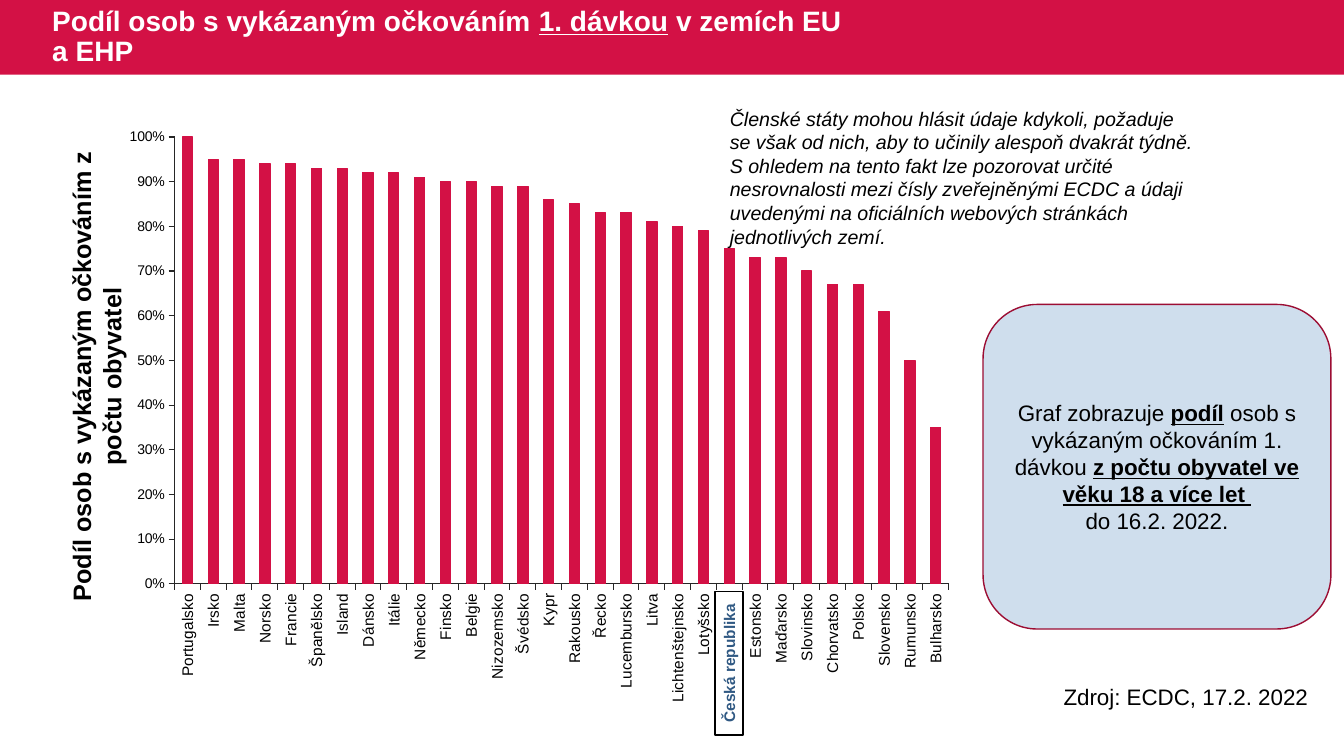
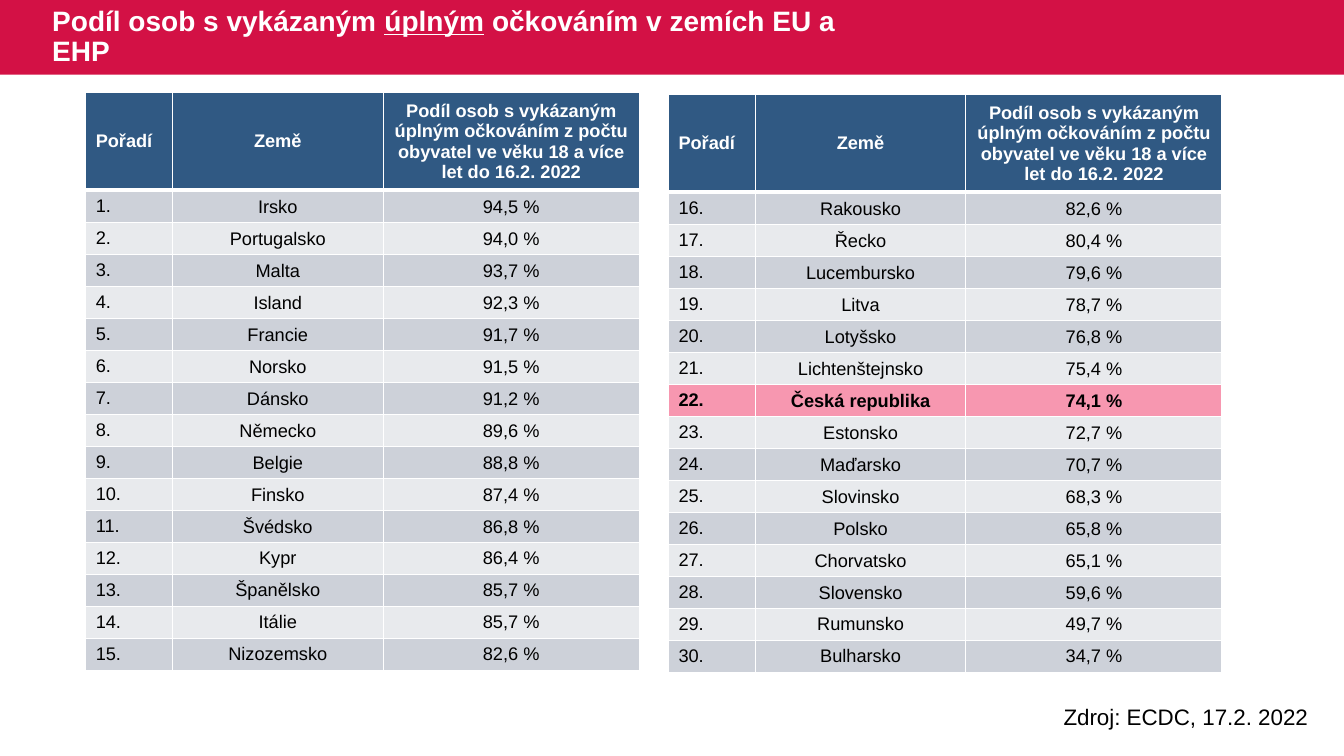
import pptx
import pptx.chart.data
import pptx.dml.color
import pptx.enum.chart
import pptx.enum.shapes
import pptx.enum.text
import pptx.oxml
import pptx.oxml.ns
import pptx.util
from pptx.util import Inches

FONT = "Arial"
RED, DARK_RED, PINK = "D31145", "9C0D33", "F797B0"
NAVY, PALE_BLUE = "305983", "CFDEED"
BAND_DARK, BAND_LIGHT = "CDD1D9", "E8EAED"
BLACK, WHITE, AXIS_GREY = "000000", "FFFFFF", "262626"
CENTER = pptx.enum.text.PP_ALIGN.CENTER
MIDDLE = pptx.enum.text.MSO_ANCHOR.MIDDLE
SHAPES = pptx.enum.shapes.MSO_SHAPE
SOURCE = "Zdroj: ECDC, 17.2. 2022"
HIGHLIGHT = "Česká republika"

FIRST_DOSE = [
    ("Portugalsko", 1), ("Irsko", 0.95), ("Malta", 0.95), ("Norsko", 0.94),
    ("Francie", 0.94), ("Španělsko", 0.93), ("Island", 0.93), ("Dánsko", 0.92),
    ("Itálie", 0.92), ("Německo", 0.91), ("Finsko", 0.9), ("Belgie", 0.9),
    ("Nizozemsko", 0.89), ("Švédsko", 0.89), ("Kypr", 0.86), ("Rakousko", 0.85),
    ("Řecko", 0.83), ("Lucembursko", 0.83), ("Litva", 0.81),
    ("Lichtenštejnsko", 0.8), ("Lotyšsko", 0.79), (HIGHLIGHT, 0.75),
    ("Estonsko", 0.73), ("Maďarsko", 0.73), ("Slovinsko", 0.7),
    ("Chorvatsko", 0.67), ("Polsko", 0.67), ("Slovensko", 0.61),
    ("Rumunsko", 0.5), ("Bulharsko", 0.35),
]
FULL_VACCINATION = [
    ("Irsko", "94,5 %"), ("Portugalsko", "94,0 %"), ("Malta", "93,7 %"),
    ("Island", "92,3 %"), ("Francie", "91,7 %"), ("Norsko", "91,5 %"),
    ("Dánsko", "91,2 %"), ("Německo", "89,6 %"), ("Belgie", "88,8 %"),
    ("Finsko", "87,4 %"), ("Švédsko", "86,8 %"), ("Kypr", "86,4 %"),
    ("Španělsko", "85,7 %"), ("Itálie", "85,7 %"), ("Nizozemsko", "82,6 %"),
    ("Rakousko", "82,6 %"), ("Řecko", "80,4 %"), ("Lucembursko", "79,6 %"),
    ("Litva", "78,7 %"), ("Lotyšsko", "76,8 %"), ("Lichtenštejnsko", "75,4 %"),
    (HIGHLIGHT, "74,1 %"), ("Estonsko", "72,7 %"), ("Maďarsko", "70,7 %"),
    ("Slovinsko", "68,3 %"), ("Polsko", "65,8 %"), ("Chorvatsko", "65,1 %"),
    ("Slovensko", "59,6 %"), ("Rumunsko", "49,7 %"), ("Bulharsko", "34,7 %"),
]
TABLE_HEADER = ("Pořadí", "Země", "Podíl osob s vykázaným úplným očkováním z počtu "
                "obyvatel ve věku 18 a více let do 16.2. 2022")


def color(hex_code):
    return pptx.dml.color.RGBColor.from_string(hex_code)


def style_font(font, size, hex_code=BLACK, bold=False, italic=False, underline=False):
    font.name, font.size = FONT, pptx.util.Pt(size)
    font.color.rgb = color(hex_code)
    font.bold, font.italic, font.underline = bold, italic, underline


def write(frame, paragraphs, size, hex_code=BLACK, align=None, spacing=None, **style):
    """Fill a frame; each paragraph is a list of (text, extra style) runs."""
    frame.word_wrap = True
    for index, runs in enumerate(paragraphs):
        para = frame.paragraphs[0] if index == 0 else frame.add_paragraph()
        para.alignment, para.line_spacing = align, spacing
        for text, extra in runs:
            span = para.add_run()
            span.text = text
            style_font(span.font, size, hex_code, **{**style, **extra})


def add_text(page, box, paragraphs, size, **options):
    label = page.shapes.add_textbox(*map(Inches, box))
    write(label.text_frame, paragraphs, size, **options)
    return label


def add_block(page, kind, box, fill, line=None):
    block = page.shapes.add_shape(kind, *map(Inches, box))
    block.shadow.inherit = False
    block.fill.solid()
    block.fill.fore_color.rgb = color(fill)
    if line:
        block.line.color.rgb = color(line)
        block.line.width = pptx.util.Pt(1)
    else:
        block.line.fill.background()
    block.text_frame.vertical_anchor = MIDDLE
    return block


def add_page(deck, title_runs, source_top):
    """Add a page with the red title band and the source line."""
    page = deck.slides.add_slide(deck.slide_layouts[6])
    add_block(page, SHAPES.RECTANGLE, (0, 0, 13.33, 0.74), RED)
    title = add_text(page, (0.42, 0, 8.16, 0.74), [title_runs], 20,
                     hex_code=WHITE, bold=True, spacing=0.9)
    title.text_frame.vertical_anchor = MIDDLE
    add_text(page, (10.45, source_top, 3.13, 0.37), [[(SOURCE, {})]], 16)
    return page


def style_axis(axis, size):
    axis.has_major_gridlines = False
    axis.major_tick_mark = pptx.enum.chart.XL_TICK_MARK.OUTSIDE
    axis.minor_tick_mark = pptx.enum.chart.XL_TICK_MARK.NONE
    axis.format.line.color.rgb = color(AXIS_GREY)
    axis.format.line.width = pptx.util.Pt(0.75)
    style_font(axis.tick_labels.font, size)


def place_plot(chart, left, top, width, height):
    """Fix the inner plot area, in fractions of the chart."""
    plot_area = chart.element.xpath("c:chart/c:plotArea")[0]
    for old in plot_area.xpath("c:layout"):
        plot_area.remove(old)
    parts = [("layoutTarget", "inner"), ("xMode", "edge"), ("yMode", "edge"),
             ("x", left), ("y", top), ("w", width), ("h", height)]
    inner = "".join(f'<c:{tag} val="{value}"/>' for tag, value in parts)
    plot_area.insert(0, pptx.oxml.parse_xml(
        f'<c:layout {pptx.oxml.ns.nsdecls("c")}>'
        f'<c:manualLayout>{inner}</c:manualLayout></c:layout>'))


def add_dose_chart(page, box):
    data = pptx.chart.data.CategoryChartData(number_format="0%")
    data.categories = [country for country, _ in FIRST_DOSE]
    data.add_series("Series 1", [share for _, share in FIRST_DOSE])
    chart = page.shapes.add_chart(pptx.enum.chart.XL_CHART_TYPE.COLUMN_CLUSTERED,
                                  *map(Inches, box), data).chart
    chart.has_legend = chart.has_title = False
    style_font(chart.font, 10)
    plot = chart.plots[0]
    plot.gap_width, plot.vary_by_categories = 150, False
    bars = plot.series[0].format
    bars.fill.solid()
    bars.fill.fore_color.rgb = bars.line.color.rgb = color(RED)
    bars.line.width = pptx.util.Pt(0.75)
    style_axis(chart.category_axis, 11)
    shares = chart.value_axis
    style_axis(shares, 10)
    shares.minimum_scale, shares.maximum_scale, shares.major_unit = 0, 1, 0.1
    shares.tick_labels.number_format = "0%"
    shares.tick_labels.number_format_is_linked = False
    label_body = chart.element.xpath(".//c:catAx/c:txPr/a:bodyPr")[0]
    label_body.set("rot", "-5400000")
    label_body.set("vert", "horz")
    place_plot(chart, 0.068, 0.047, 0.914, 0.745)


def style_cell(cell, fill, bottom_width):
    cell.vertical_anchor = MIDDLE
    properties = cell._tc.get_or_add_tcPr()
    for side, width in (("L", 1), ("R", 1), ("T", 1), ("B", bottom_width)):
        properties.append(pptx.oxml.parse_xml(
            f'<a:ln{side} {pptx.oxml.ns.nsdecls("a")} w="{pptx.util.Pt(width)}">'
            f'<a:solidFill><a:srgbClr val="{WHITE}"/></a:solidFill></a:ln{side}>'))
    cell.fill.solid()
    cell.fill.fore_color.rgb = color(fill)


def add_ranking(page, left, top, first_rank, countries):
    widths, header_height, row_height = (0.86, 2.09, 2.54), 0.9, 0.3
    rows = [TABLE_HEADER] + [(f"{rank}.", *entry)
                             for rank, entry in enumerate(countries, first_rank)]
    height = header_height + row_height * len(countries)
    table = page.shapes.add_table(len(rows), len(widths), Inches(left), Inches(top),
                                  Inches(sum(widths)), Inches(height)).table
    for column, width in zip(table.columns, widths):
        column.width = Inches(width)
    for row_index, row in enumerate(rows):
        is_header, is_highlight = row_index == 0, row[1] == HIGHLIGHT
        table.rows[row_index].height = Inches(header_height if is_header else row_height)
        if is_header:
            fill = NAVY
        elif is_highlight:
            fill = PINK
        else:
            fill = BAND_DARK if row_index % 2 else BAND_LIGHT
        for column_index, text in enumerate(row):
            cell = table.cell(row_index, column_index)
            style_cell(cell, fill, 3 if is_header else 1)
            if column_index and not is_header:
                cell.margin_left = cell.margin_right = cell.margin_top = Inches(0.01)
                cell.margin_bottom = 0
            write(cell.text_frame, [[(text, {})]], 13,
                  hex_code=WHITE if is_header else BLACK,
                  align=CENTER if column_index else None,
                  bold=is_header or is_highlight)


def build_chart_page(deck):
    page = add_page(deck, [("Podíl osob s vykázaným očkováním ", {}),
                           ("1. dávkou", {"underline": True}),
                           (" v zemích EU a EHP", {})], 6.73)
    axis_title = add_text(
        page, (-1.55, 3.38, 5.02, 0.71),
        [[("Podíl osob s vykázaným očkováním z počtu obyvatel", {})]],
        18, align=CENTER, bold=True)
    axis_title.rotation = 270
    add_dose_chart(page, (1.16, 1.08, 8.4, 5.95))

    strong = {"bold": True, "underline": True}
    callout = add_block(page, SHAPES.ROUNDED_RECTANGLE, (9.75, 3.02, 3.45, 3.22),
                        PALE_BLUE, DARK_RED)
    write(callout.text_frame,
          [[("Graf zobrazuje ", {}), ("podíl", strong),
            (" osob s vykázaným očkováním 1. dávkou ", {}),
            ("z počtu obyvatel ve věku 18 a více let ", strong)],
           [("do 16.2. 2022.", {})]], 16, align=CENTER)

    marker = add_block(page, SHAPES.RECTANGLE, (6.52, 6.44, 1.42, 0.28), WHITE, BLACK)
    marker.rotation = 270
    write(marker.text_frame, [[(HIGHLIGHT, {})]], 11, hex_code=NAVY,
          align=CENTER, bold=True)

    add_text(page, (7.14, 1.01, 4.86, 1.51), [[(
        "Členské státy mohou hlásit údaje kdykoli, požaduje se však od nich, aby to "
        "učinily alespoň dvakrát týdně. S ohledem na tento fakt lze pozorovat určité "
        "nesrovnalosti mezi čísly zveřejněnými ECDC a údaji uvedenými na oficiálních "
        "webových stránkách jednotlivých zemí.", {})]], 14, italic=True)


def build_table_page(deck):
    page = add_page(deck, [("Podíl osob s vykázaným ", {}),
                           ("úplným", {"underline": True}),
                           (" očkováním v zemích EU a EHP", {})], 6.93)
    half = len(FULL_VACCINATION) // 2
    add_ranking(page, 0.85, 0.92, 1, FULL_VACCINATION[:half])
    add_ranking(page, 6.63, 0.94, half + 1, FULL_VACCINATION[half:])


def main():
    deck = pptx.Presentation()
    deck.slide_width, deck.slide_height = Inches(13.33), Inches(7.5)
    build_chart_page(deck)
    build_table_page(deck)
    deck.save("out.pptx")


if __name__ == "__main__":
    main()
